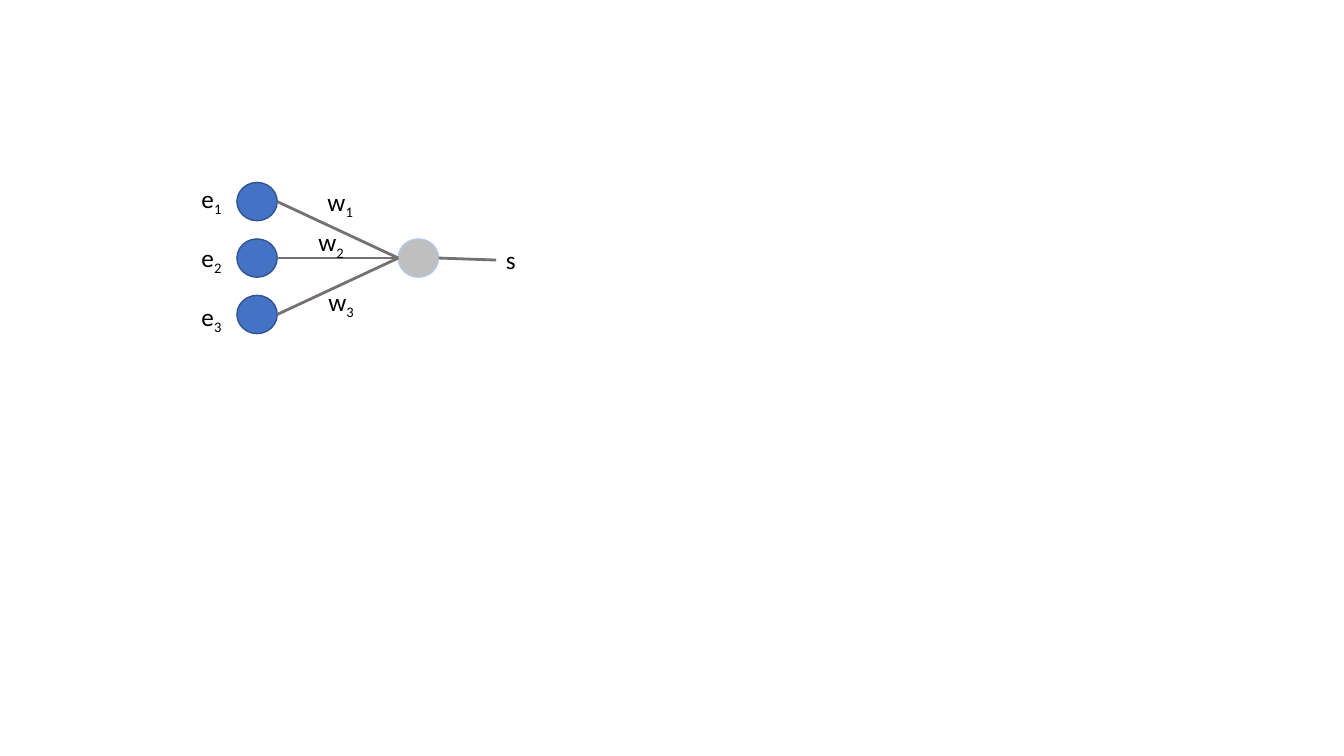
from lxml.etree import SubElement
from pptx import Presentation
from pptx.dml.color import RGBColor
from pptx.enum.shapes import MSO_CONNECTOR, MSO_SHAPE
from pptx.enum.text import MSO_AUTO_SIZE
from pptx.oxml.ns import qn
from pptx.util import Inches, Pt

NODE_WIDTH, NODE_HEIGHT = 0.4, 0.38
INPUT_LEFT, NEURON_LEFT = 2.35, 3.95
FIRST_ROW, ROW_STEP = 2.0, 0.56
LABEL_HEIGHT = 0.4


def color(hex_value):
    return RGBColor.from_string(hex_value)


def row_center(row):
    return FIRST_ROW + row * ROW_STEP


def add_node(slide, left, row, fill, outline):
    top = row_center(row) - NODE_HEIGHT / 2
    node = slide.shapes.add_shape(
        MSO_SHAPE.OVAL, Inches(left), Inches(top),
        Inches(NODE_WIDTH), Inches(NODE_HEIGHT))
    node.shadow.inherit = False
    node.fill.solid()
    node.fill.fore_color.rgb = color(fill)
    node.line.color.rgb = color(outline)
    node.line.width = Pt(1)


def add_link(slide, start, end):
    points = [Inches(length) for length in (*start, *end)]
    link = slide.shapes.add_connector(MSO_CONNECTOR.STRAIGHT, *points)
    link.line.color.rgb = color("767171")
    link.line.width = Pt(0)
    SubElement(link._element.spPr, qn("a:effectLst"))


def add_label(slide, left, top, width, symbol, index=None):
    """Write a symbol, followed by its index as a subscript if it has one."""
    label = slide.shapes.add_textbox(
        Inches(left), Inches(top), Inches(width), Inches(LABEL_HEIGHT))
    frame = label.text_frame
    frame.word_wrap = index is None
    frame.auto_size = MSO_AUTO_SIZE.SHAPE_TO_FIT_TEXT
    paragraph = frame.paragraphs[0]
    for text in (symbol, index):
        if text is None:
            continue
        run = paragraph.add_run()
        run.text = str(text)
        run.font.name = "Calibri"
        run.font.size = Pt(18)
        run.font.color.rgb = color("000000")
        if text is index:
            run._r.get_or_add_rPr().set("baseline", "-25000")


def main():
    presentation = Presentation()
    presentation.slide_width = Inches(13.33)
    presentation.slide_height = Inches(7.5)
    slide = presentation.slides.add_slide(presentation.slide_layouts[6])

    middle = row_center(1)
    neuron_entry = (NEURON_LEFT, middle)
    neuron_exit = (NEURON_LEFT + NODE_WIDTH, middle)
    weight_positions = [(3.15, 1.8), (3.06, 2.2), (3.16, 2.79)]

    add_node(slide, NEURON_LEFT, 1, "BFBFBF", "B4C7E7")
    for row, (weight_left, weight_top) in enumerate(weight_positions):
        add_node(slide, INPUT_LEFT, row, "4472C4", "325491")
        add_link(slide, (INPUT_LEFT + NODE_WIDTH, row_center(row)), neuron_entry)
        add_label(slide, 1.9, 1.77 + row * 0.585, 0.41, "e", row + 1)
        add_label(slide, weight_left, weight_top, 0.47, "w", row + 1)

    add_link(slide, neuron_exit, (4.92, middle + 0.02))
    add_label(slide, 4.92, 2.37, 0.4, "s")

    presentation.save("out.pptx")


if __name__ == "__main__":
    main()
